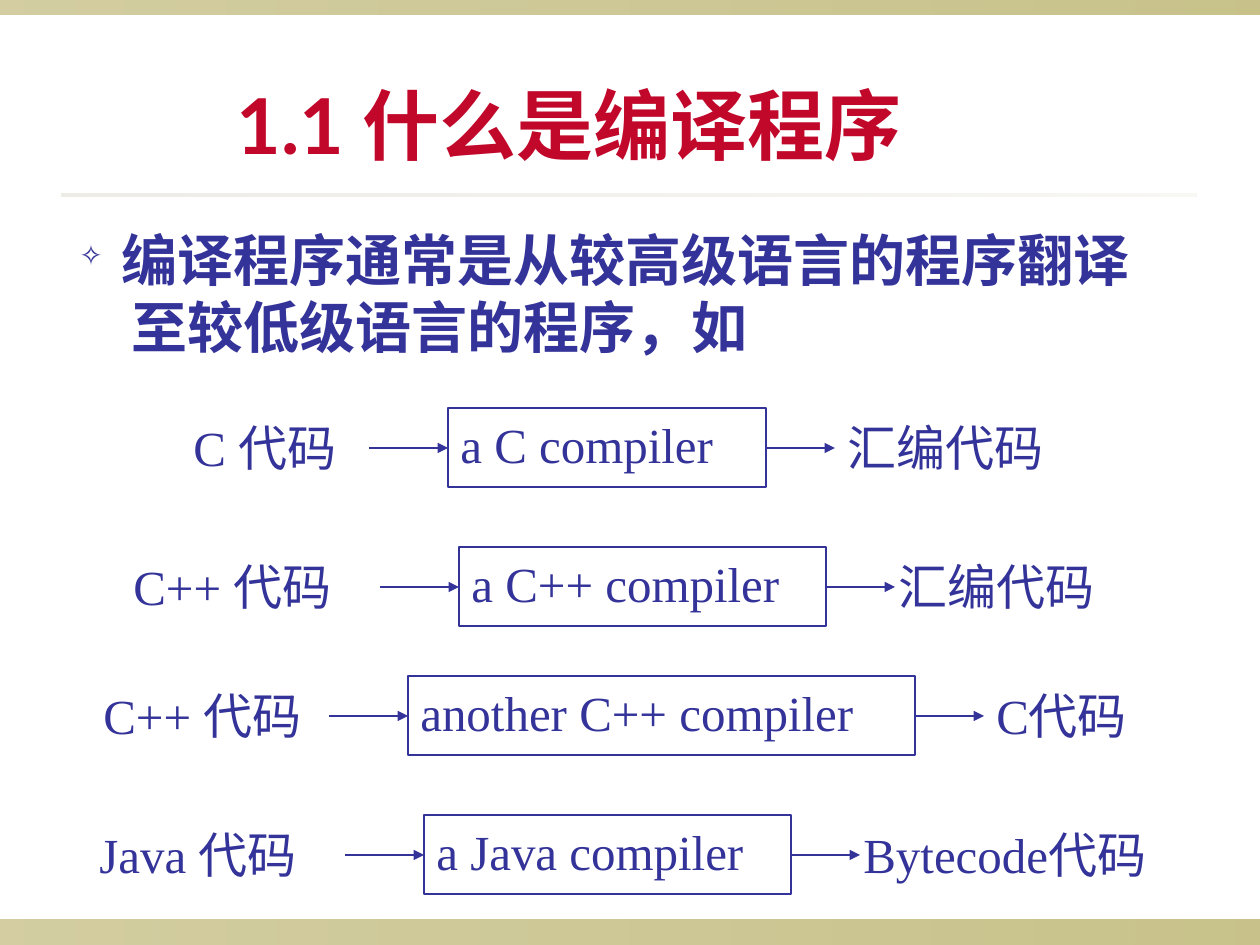
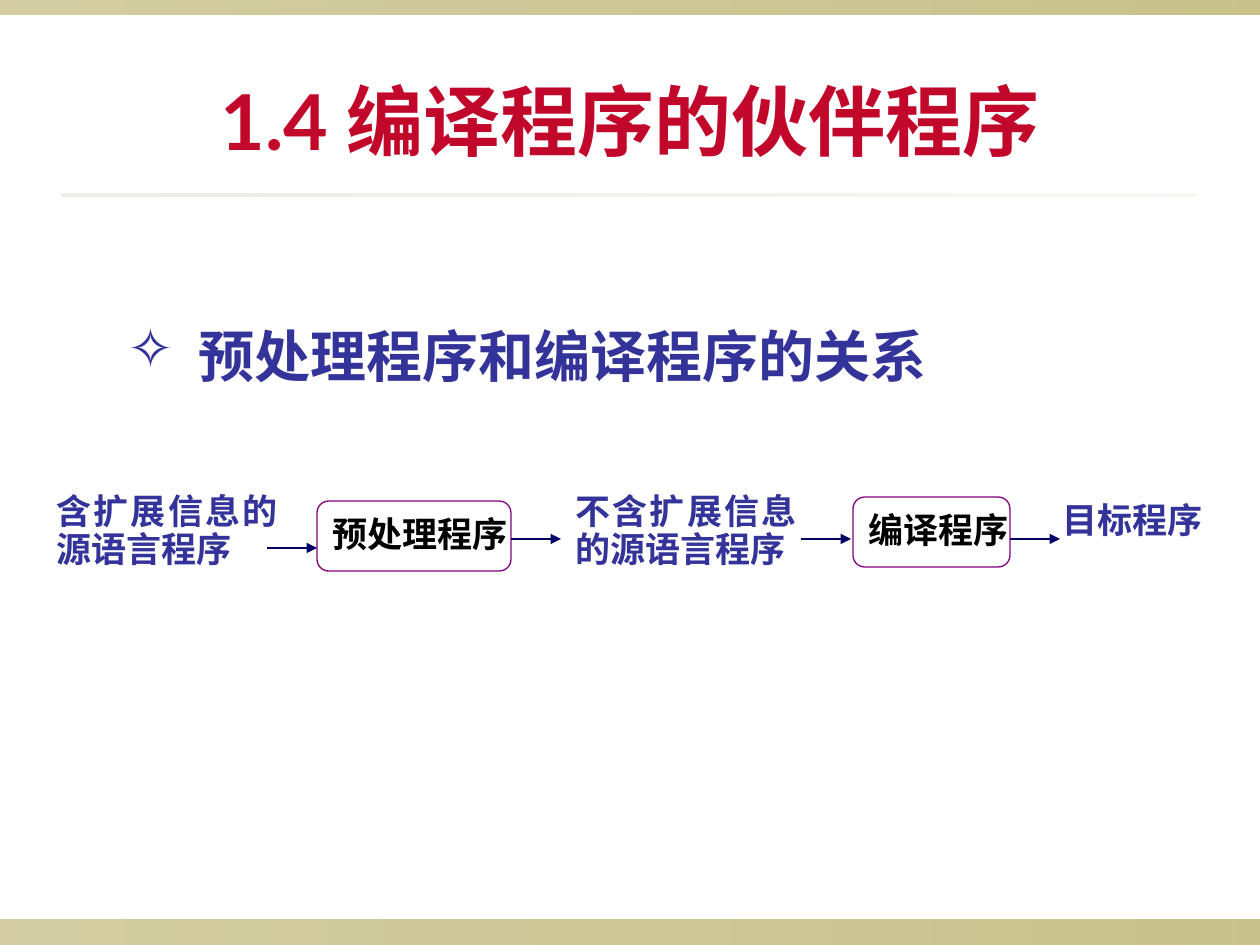
"""Build two slides on what compilers are and how they work with other tools."""
from dataclasses import dataclass

from lxml import etree
from pptx import Presentation, util as u
from pptx.dml.color import RGBColor
from pptx.enum import lang, shapes, text
from pptx.oxml.ns import qn

SCALE = 914400 / 126


def px(*sizes):
    return [u.Emu(round(size * SCALE)) for size in sizes]


@dataclass(frozen=True)
class Theme:
    red: str = "C1072A"
    blue: str = "333399"
    navy: str = "000066"
    plum: str = "800080"
    black: str = "000000"
    white: str = "FFFFFF"
    olive: str = "918415"
    sand: str = "DCD9CC"
    head: str = "Lato"
    sans: str = "Arial"
    serif: str = "Times New Roman"
    title: int = 44
    point: int = 32
    code: int = 28
    step: int = 20
    line: float = 0.74


class Deck:
    def __init__(self, theme):
        self.theme = theme
        self.show = Presentation()
        self.show.slide_width, self.show.slide_height = px(1260, 945)
        self.slide = None

    def page(self, title, left, top):
        layout = self.show.slide_layouts[5]
        first = self.slide is None
        self.slide = self.show.slides.add_slide(layout)
        if first:
            self.band(layout, (0, 920, 1260, 25), self.theme.olive, 40, 50)
            self.band(layout, (0, 0, 1260, 15), self.theme.olive, 40, 50)
            self.band(layout, (62, 194, 1135, 3), self.theme.sand, 50, 20)
        head = self.slide.shapes.title
        head.left, head.top, head.width, head.height = px(left, top, 1071, 158)
        frame = head.text_frame
        frame.auto_size = text.MSO_AUTO_SIZE.NONE
        frame.vertical_anchor = text.MSO_ANCHOR.MIDDLE
        para = frame.paragraphs[0]
        para.text = title
        para.alignment = text.PP_ALIGN.CENTER
        self.style(para, self.theme.title, self.theme.red, self.theme.head, True)

    def band(self, layout, area, tint, *alphas):
        bar = self.slide.shapes.add_shape(shapes.MSO_SHAPE.RECTANGLE, *px(*area))
        bar.shadow.inherit = False
        bar.line.fill.background()
        bar.fill.gradient()
        bar.fill.gradient_angle = 0
        for stop in bar.fill.gradient_stops:
            stop.color.rgb = RGBColor.from_string(tint)
        tones = bar.element.spPr.iter(qn("a:srgbClr"))
        for tone, alpha in zip(tones, alphas):
            etree.SubElement(tone, qn("a:alpha"), val=str(alpha * 1000))
        layout.shapes.element.insert(2, bar.element)

    def style(self, para, size, tint, face, bold=False):
        font = para.font
        font.size = u.Pt(size)
        font.name = face
        font.bold = bold
        font.color.rgb = RGBColor.from_string(tint)
        font.language_id = lang.MSO_LANGUAGE_ID.SIMPLIFIED_CHINESE

    def frame(self, area):
        frame = self.slide.shapes.add_textbox(*px(*area)).text_frame
        frame.word_wrap = True
        frame.auto_size = text.MSO_AUTO_SIZE.SHAPE_TO_FIT_TEXT
        return frame

    def fill(self, frame, words, size, tint, bold):
        para = frame.paragraphs[0]
        para.text = words
        para.alignment = text.PP_ALIGN.JUSTIFY
        para.line_spacing = 0.9
        self.style(para, size, tint, self.theme.serif, bold)

    def label(self, words, area, size, bold=False):
        self.fill(self.frame(area), words, size, self.theme.blue, bold)

    def point(self, lines, area, indents, ratio, face):
        frame = self.frame(area)
        for row, (words, indent) in enumerate(zip(lines, indents)):
            para = frame.add_paragraph() if row else frame.paragraphs[0]
            para.text = words
            props = para._p.get_or_add_pPr()
            inset = px(indent)[0]
            props.set("marL", str(inset))
            props.set("indent", str(0 if row else -inset))
            if not row:
                tone = etree.SubElement(props, qn("a:buClr"))
                etree.SubElement(tone, qn("a:srgbClr"), val=self.theme.blue)
                etree.SubElement(props, qn("a:buSzPct"), val=str(ratio * 1000))
                etree.SubElement(props, qn("a:buChar"), char="✧")
            self.style(para, self.theme.point, self.theme.blue, face, True)

    def box(self, words, area, size, kind, edge, ink, bold=False):
        box = self.slide.shapes.add_shape(kind, *px(*area))
        box.shadow.inherit = False
        box.fill.solid()
        box.fill.fore_color.rgb = RGBColor.from_string(self.theme.white)
        box.line.color.rgb = RGBColor.from_string(edge)
        box.line.width = u.Pt(self.theme.line)
        box.text_frame.word_wrap = False
        box.text_frame.vertical_anchor = text.MSO_ANCHOR.MIDDLE
        self.fill(box.text_frame, words, size, ink, bold)

    def arrow(self, left, mid, width, tint):
        ends = px(left, mid, left + width, mid)
        link = self.slide.shapes.add_connector(shapes.MSO_CONNECTOR.STRAIGHT, *ends)
        link.line.color.rgb = RGBColor.from_string(tint)
        link.line.width = u.Pt(self.theme.line)
        props = link.element.spPr
        etree.SubElement(props.find(qn("a:ln")), qn("a:tailEnd"), type="triangle")
        etree.SubElement(props, qn("a:effectLst"))

    def flow(self, top, source, tool, target):
        theme = self.theme
        for words, left, width in (source, target):
            self.label(words, (left, top + 10, width, 66), theme.code)
        words, left, width = tool
        self.box(words, (left, top, width, 79), theme.code,
                 shapes.MSO_SHAPE.RECTANGLE, theme.blue, theme.blue)
        self.arrow(left - 79, top + 40, 79, theme.blue)
        self.arrow(left + width, top + 40, 69, theme.blue)

    def stage(self, words, left, top, width):
        theme = self.theme
        self.box(words, (left, top, width, 70), theme.step,
                 shapes.MSO_SHAPE.ROUNDED_RECTANGLE, theme.plum, theme.black, True)


FLOWS = [
    (408, ("C 代码", 181, 198), ("a C compiler", 448, 318), ("汇编代码", 835, 228)),
    (547, ("C++ 代码", 121, 267), ("a C++ compiler", 459, 367), ("汇编代码", 886, 238)),
    (676, ("C++ 代码", 91, 248), ("another C++ compiler", 408, 507), ("C代码", 984, 179)),
    (815, ("Java 代码", 87, 267), ("a Java compiler", 424, 367), ("Bytecode代码", 851, 362)),
]


def main():
    theme = Theme()
    deck = Deck(theme)

    deck.page("1.1 什么是编译程序", 34, 45)
    deck.point(["编译程序通常是从较高级语言的程序翻译", "至较低级语言的程序，如"],
               (67, 219, 1121, 147), (42, 52), 50, theme.sans)
    for flow in FLOWS:
        deck.flow(*flow)

    deck.page("1.4 编译程序的伙伴程序", 95, 41)
    deck.point(["预处理程序和编译程序的关系"], (115, 315, 883, 81), (71,), 100, theme.serif)
    deck.label("含扩展信息的源语言程序", (44, 488, 246, 88), theme.step, True)
    deck.label("不含扩展信息的源语言程序", (563, 488, 246, 88), theme.step, True)
    deck.label("目标程序", (1050, 497, 172, 51), theme.step, True)
    deck.stage("预处理程序", 317, 501, 194)
    deck.stage("编译程序", 853, 497, 157)
    for left, mid in ((267, 548), (511, 539), (801, 539), (1010, 539)):
        deck.arrow(left, mid, 50, theme.navy)

    deck.show.save("out.pptx")


main()
